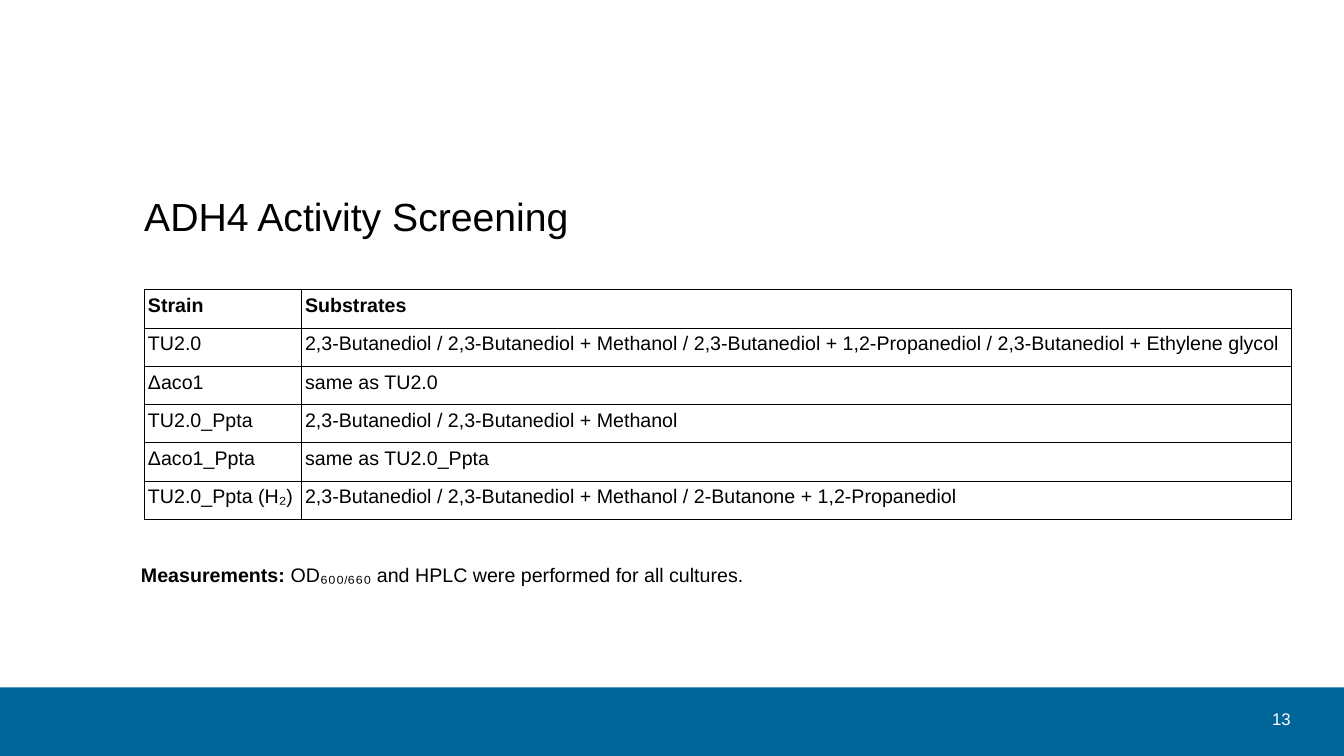
from lxml import etree
from pptx import Presentation
from pptx import util as u
from pptx.dml.color import RGBColor
from pptx.enum import shapes, text
from pptx.oxml.ns import qn

Pt = u.Pt
HUES = {"ink": "000000", "paper": "FFFFFF", "band": "006699"}
WIDE, HIGH = 960, 540
LEFT, SPAN = 103, 819.4
ROWS = [
    ("Strain", "Substrates"),
    ("TU2.0", "2,3-Butanediol / 2,3-Butanediol + Methanol / 2,3-Butanediol"
              " + 1,2-Propanediol / 2,3-Butanediol + Ethylene glycol"),
    ("Δaco1", "same as TU2.0"),
    ("TU2.0_Ppta", "2,3-Butanediol / 2,3-Butanediol + Methanol"),
    ("Δaco1_Ppta", "same as TU2.0_Ppta"),
    ("TU2.0_Ppta (H₂)", "2,3-Butanediol / 2,3-Butanediol + Methanol"
                        " / 2-Butanone + 1,2-Propanediol"),
]


def hue(name):
    return RGBColor.from_string(HUES[name])


def style(run, size, bold=False, color="ink"):
    font = run.font
    font.name, font.size, font.bold = "Arial", Pt(size), bold
    font.color.rgb = hue(color)


def space(para):
    para.space_before, para.space_after = Pt(11.9), Pt(9.9)


def inset(frame, side, top):
    frame.margin_left = frame.margin_right = Pt(side)
    frame.margin_top = frame.margin_bottom = Pt(top)


def add_text(slide, box):
    frame = slide.shapes.add_textbox(*map(Pt, box)).text_frame
    frame.word_wrap = True
    return frame


def add_title(slide, box):
    title = slide.shapes.title
    title.left, title.top, title.width, title.height = map(Pt, box)
    frame = title.text_frame
    frame.text = "ADH4 Activity Screening"
    frame.vertical_anchor = text.MSO_ANCHOR.MIDDLE
    inset(frame, 0, 0)
    para = frame.paragraphs[0]
    para.alignment = text.PP_ALIGN.LEFT
    space(para)
    style(para.runs[0], 28)


def outline(cell):
    """Give all four sides of a cell a thin border."""
    props = cell._tc.get_or_add_tcPr()
    for spot, side in enumerate(("lnL", "lnR", "lnT", "lnB")):
        line = etree.Element(qn("a:" + side), w=str(Pt(0.57)))
        fill = etree.SubElement(line, qn("a:solidFill"))
        etree.SubElement(fill, qn("a:srgbClr"), val=HUES["ink"])
        props.insert(spot, line)


def add_strains(slide, box):
    frame = slide.shapes.add_table(len(ROWS), 2, *map(Pt, box))
    table = frame.table
    first = 112.2
    for column, width in zip(table.columns, (first, box[2] - first)):
        column.width = Pt(width)
    for r, words in enumerate(ROWS):
        table.rows[r].height = Pt(box[3] / len(ROWS))
        for c, word in enumerate(words):
            cell = table.cell(r, c)
            cell.text = word
            inset(cell, 2.7, 3.6)
            cell.fill.solid()
            cell.fill.fore_color.rgb = hue("paper")
            outline(cell)
            para = cell.text_frame.paragraphs[0]
            space(para)
            style(para.runs[0], 14, r == 0)


def add_note(slide, box):
    frame = add_text(slide, box)
    inset(frame, 7.2, 3.6)
    para = frame.paragraphs[0]
    for word in ("Measurements:", " OD₆₀₀", "/",
                 "₆₆₀ and HPLC were performed for all cultures."):
        run = para.add_run()
        run.text = word
        style(run, 14, word == "Measurements:")
        if word == "/":
            run._r.get_or_add_rPr().set("baseline", "-8000")


def add_footer(slide, box):
    left, top, width, height = box
    band = slide.shapes.add_shape(shapes.MSO_SHAPE.RECTANGLE, *map(Pt, box))
    band.shadow.inherit = False
    band.fill.solid()
    band.fill.fore_color.rgb = hue("band")
    band.line.fill.background()
    frame = add_text(slide, (left + width - 103, top + 11.5, 65, 22.5))
    frame.text = "13"
    frame.vertical_anchor = text.MSO_ANCHOR.MIDDLE
    inset(frame, 0, 0)
    para = frame.paragraphs[0]
    para.alignment = text.PP_ALIGN.RIGHT
    style(para.runs[0], 12, color="paper")


def main():
    deck = Presentation()
    deck.slide_width, deck.slide_height = Pt(WIDE), Pt(HIGH)
    slide = deck.slides.add_slide(deck.slide_layouts[5])
    add_footer(slide, (0, 491, WIDE, HIGH - 491))
    add_title(slide, (LEFT, 121.7, SPAN, 65.5))
    add_strains(slide, (LEFT, 207, SPAN, 163.8))
    add_note(slide, (93.6, 398.9, 831.6, 38.9))
    deck.save("out.pptx")


if __name__ == "__main__":
    main()
